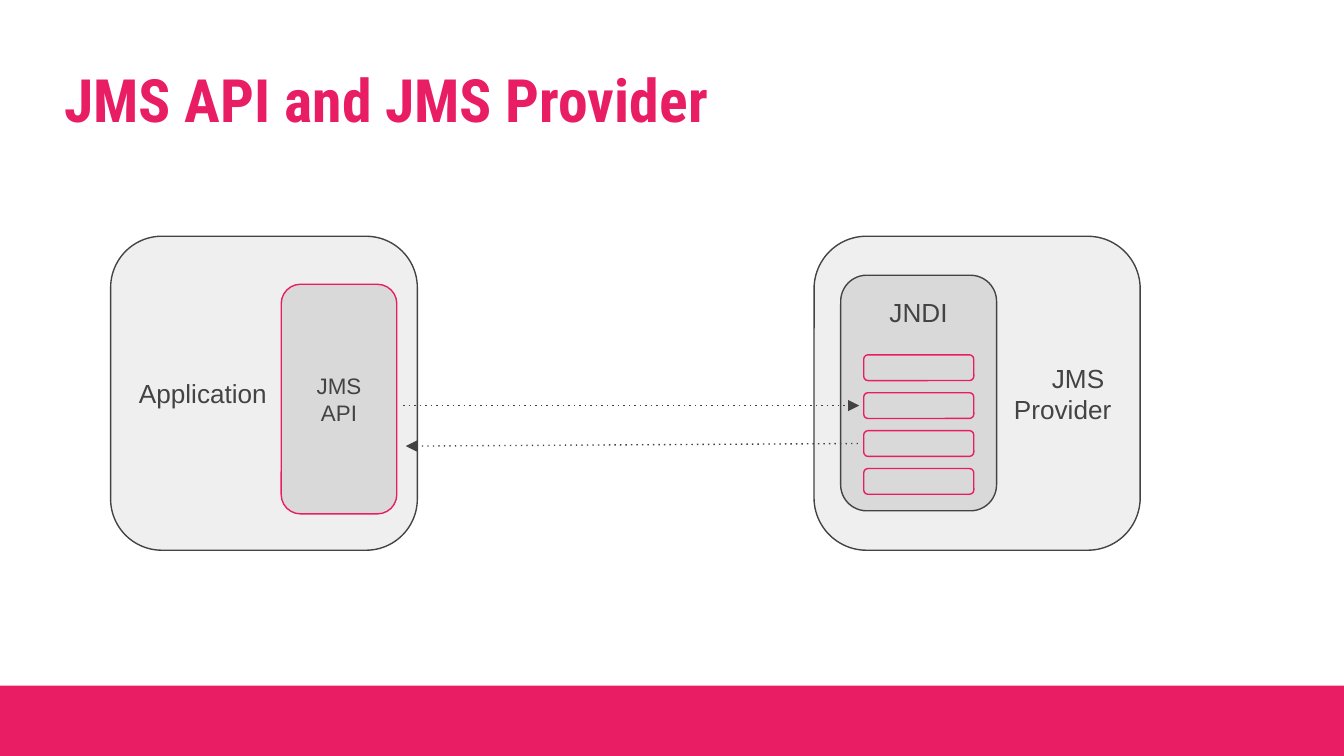
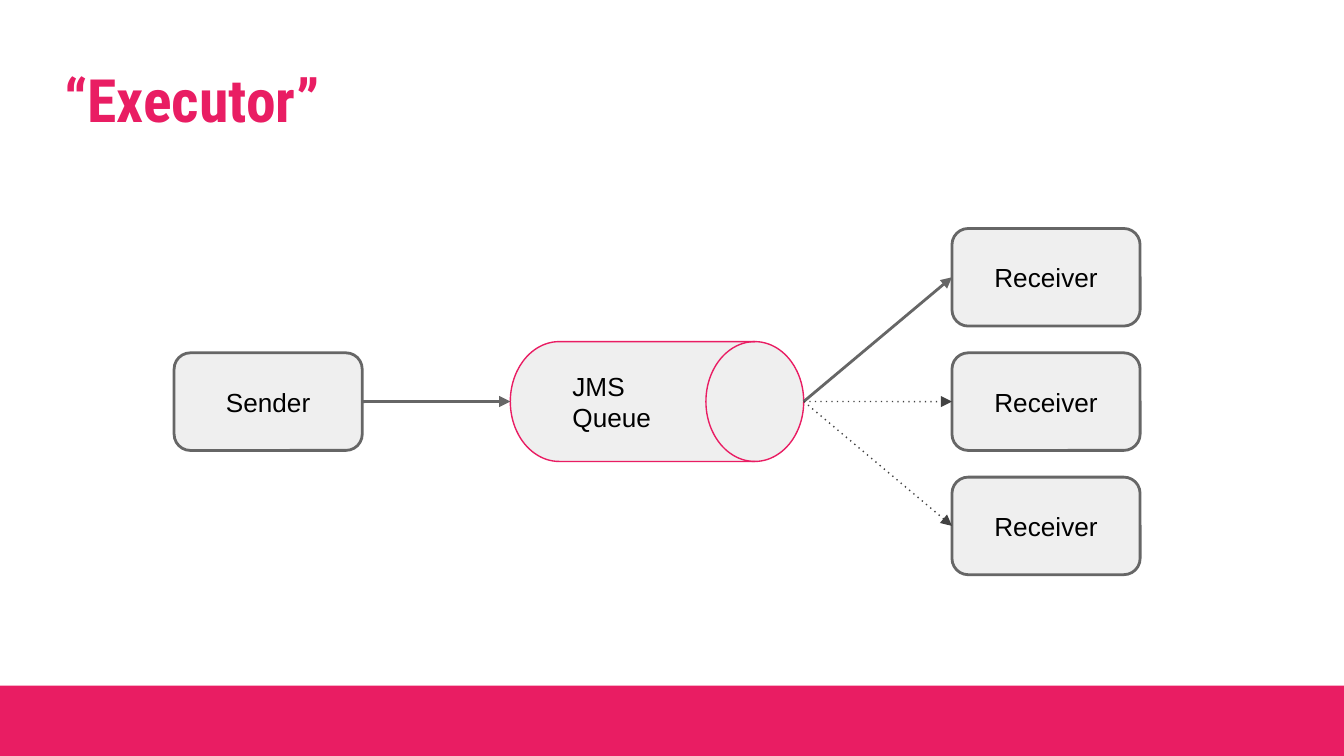
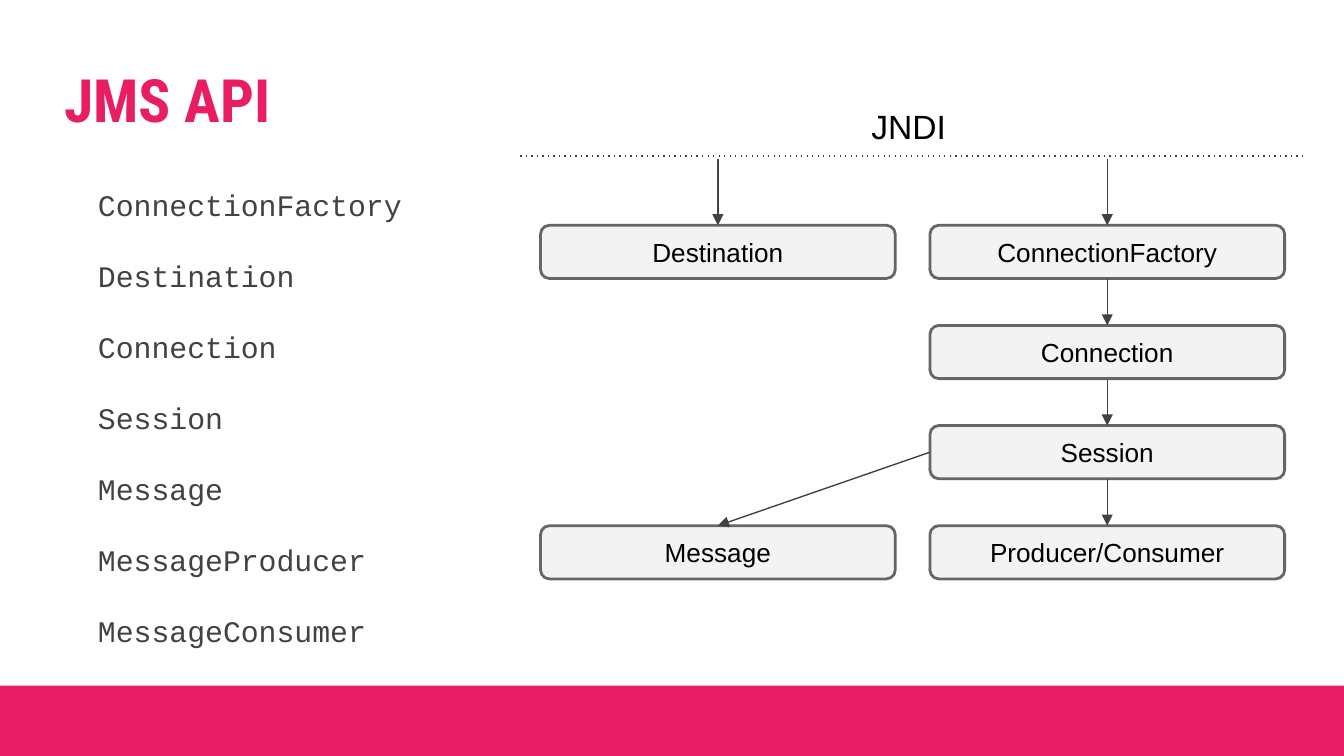
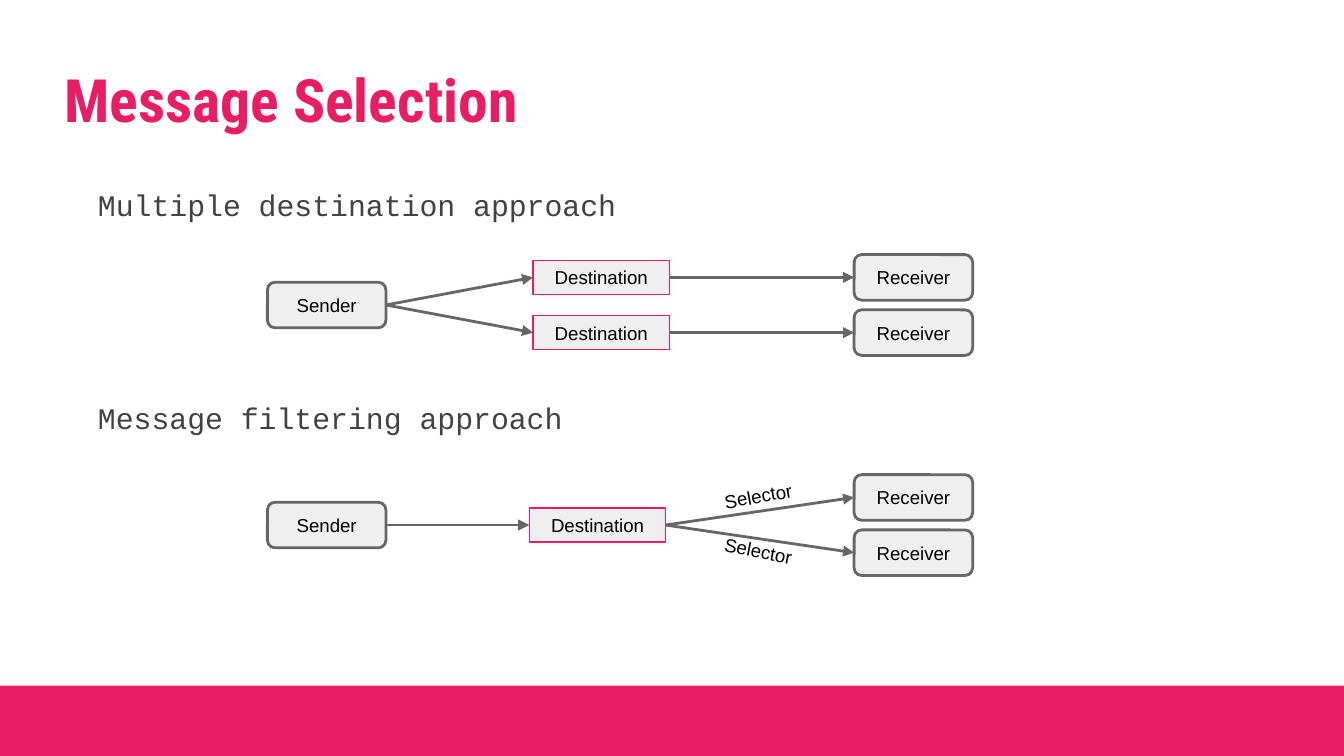
from dataclasses import dataclass, replace

import lxml.etree
import pptx
import pptx.dml.color
import pptx.enum.shapes
import pptx.enum.text
import pptx.oxml.ns
import pptx.shapes.autoshape
import pptx.slide
import pptx.text.text
import pptx.util

Pt = pptx.util.Pt
SHAPE = pptx.enum.shapes.MSO_SHAPE
ALIGN = pptx.enum.text.PP_ALIGN
ANCHOR = pptx.enum.text.MSO_ANCHOR

COLORS = {
    "accent": "E91D63",
    "black": "000000",
    "text": "424242",
    "outline": "434343",
    "border": "666666",
    "light": "EFEFEF",
    "pale": "F3F3F3",
    "panel": "D9D9D9",
}
WIDTH, HEIGHT = 720, 405
INSET = 7.2
CORNER = 0.167


@dataclass(frozen=True)
class Box:
    """A rectangle in points, with the middles of its sides."""
    left: float
    top: float
    width: float
    height: float

    @property
    def west(self) -> tuple[float, float]:
        return self.left, self.top + self.height / 2

    @property
    def east(self) -> tuple[float, float]:
        return self.left + self.width, self.top + self.height / 2

    @property
    def north(self) -> tuple[float, float]:
        return self.left + self.width / 2, self.top

    @property
    def south(self) -> tuple[float, float]:
        return self.left + self.width / 2, self.top + self.height


@dataclass(frozen=True)
class Style:
    """The look of a shape and its label."""
    fill: str = "light"
    line: str | None = "border"
    weight: float = 1.5
    kind: SHAPE = SHAPE.ROUNDED_RECTANGLE
    size: float = 14
    color: str = "black"
    align: ALIGN = ALIGN.CENTER
    anchor: ANCHOR = ANCHOR.MIDDLE


@dataclass(frozen=True)
class Stroke:
    """The look of a connector."""
    color: str = "text"
    weight: float = 0.75
    dotted: bool = False
    arrow: bool = True


NODE = Style()
PALE_NODE = Style(fill="pale")
SMALL_NODE = Style(size=10)
DESTINATION = Style(line="accent", weight=0.75, kind=SHAPE.RECTANGLE, size=10)
QUEUE = Style(line="accent", weight=0.75, kind=SHAPE.FLOWCHART_DIRECT_ACCESS_STORAGE,
              align=ALIGN.LEFT)
SYSTEM = Style(line="outline", weight=0.75, color="outline", align=ALIGN.LEFT)
PANEL = replace(SYSTEM, fill="panel", align=ALIGN.CENTER)
BAND = Style(fill="accent", line=None, kind=SHAPE.RECTANGLE)

THIN = Stroke()
DOTTED = Stroke(dotted=True)
THICK = Stroke(color="border", weight=1.5)
RULE = Stroke(dotted=True, arrow=False)


def rgb(name: str) -> pptx.dml.color.RGBColor:
    return pptx.dml.color.RGBColor.from_string(COLORS[name])


def write(frame: pptx.text.text.TextFrame, text: str, *, size: float, color: str = "black",
          font: str = "Arial", bold: bool = False, align: ALIGN = ALIGN.LEFT,
          anchor: ANCHOR = ANCHOR.TOP, spacing: float | None = None,
          after: float = 0, indent: tuple[float, float] | None = None) -> None:
    """Fill a frame, one paragraph for each line of text."""
    frame.word_wrap = True
    frame.vertical_anchor = anchor
    frame.margin_left = frame.margin_right = Pt(INSET)
    frame.margin_top = frame.margin_bottom = Pt(INSET)
    for index, words in enumerate(text.split("\n")):
        para = frame.add_paragraph() if index else frame.paragraphs[0]
        para.alignment = align
        para.space_after = Pt(after)
        if spacing:
            para.line_spacing = spacing
        if indent:
            properties = para._p.get_or_add_pPr()
            properties.set("marL", str(Pt(indent[0])))
            properties.set("indent", str(Pt(indent[1])))
        span = para.add_run()
        span.text = words
        span.font.name = font
        span.font.size = Pt(size)
        span.font.bold = bold
        span.font.color.rgb = rgb(color)


def add_text(page: pptx.slide.Slide, box: Box, text: str, *,
             rotation: float = 0, **text_format) -> None:
    label = page.shapes.add_textbox(Pt(box.left), Pt(box.top), Pt(box.width), Pt(box.height))
    label.rotation = rotation
    write(label.text_frame, text, **text_format)


def add_box(page: pptx.slide.Slide, box: Box, style: Style, text: str = "") -> Box:
    shape = page.shapes.add_shape(
        style.kind, Pt(box.left), Pt(box.top), Pt(box.width), Pt(box.height))
    shape.shadow.inherit = False
    shape.fill.solid()
    shape.fill.fore_color.rgb = rgb(style.fill)
    if style.kind == SHAPE.ROUNDED_RECTANGLE:
        shape.adjustments[0] = CORNER
    if style.line:
        shape.line.color.rgb = rgb(style.line)
        shape.line.width = Pt(style.weight)
    else:
        shape.line.fill.background()
    if text:
        write(shape.text_frame, text, size=style.size, color=style.color,
              align=style.align, anchor=style.anchor)
    return box


def add_line(page: pptx.slide.Slide, start: tuple[float, float], end: tuple[float, float],
             stroke: Stroke) -> None:
    line = page.shapes.add_connector(
        pptx.enum.shapes.MSO_CONNECTOR.STRAIGHT, *map(Pt, start + end))
    line.line.color.rgb = rgb(stroke.color)
    line.line.width = Pt(stroke.weight)
    qn = pptx.oxml.ns.qn
    properties = line._element.spPr
    outline = properties.find(qn("a:ln"))
    if stroke.dotted:
        lxml.etree.SubElement(outline, qn("a:prstDash"), val="dot")
    if stroke.arrow:
        lxml.etree.SubElement(outline, qn("a:tailEnd"), type="triangle")
    lxml.etree.SubElement(properties, qn("a:effectLst"))


def add_page(deck: pptx.presentation.Presentation, title: str) -> pptx.slide.Slide:
    """Start a page with the bottom band and the title."""
    page = deck.slides.add_slide(deck.slide_layouts[6])
    add_box(page, Box(0, 367.3, WIDTH, HEIGHT - 367.3), BAND)
    add_text(page, Box(27.4, 26.7, 583.2, 52.6), title, size=32, color="accent",
             font="Roboto Condensed", bold=True, anchor=ANCHOR.BOTTOM)
    return page


def add_body(page: pptx.slide.Slide, text: str, after: float = 16) -> None:
    add_text(page, Box(27.4, 90, 583.2, 249.8), text, size=16, color="text",
             font="Courier New", spacing=1.15, after=after, indent=(36, -18))


def build_provider(deck: pptx.presentation.Presentation) -> None:
    page = add_page(deck, "JMS API and JMS Provider")
    add_box(page, Box(59.3, 126.6, 164.3, 168.2), SYSTEM, "Application")
    add_box(page, Box(436.1, 126.6, 174.7, 168.2), replace(SYSTEM, align=ALIGN.RIGHT),
            "JMS \nProvider")
    add_box(page, Box(150.7, 152.3, 61.9, 123), replace(PANEL, line="accent", size=12),
            "JMS API")
    add_box(page, Box(450.4, 147.5, 83.5, 126.2), replace(PANEL, anchor=ANCHOR.TOP), "JNDI")
    # Entries of the directory
    for row in range(4):
        add_box(page, Box(462.7, 190.1 + row * 20.3, 59, 13.8), replace(PANEL, line="accent"))
    # Lookup and answer
    add_line(page, (216, 217.3), (460.3, 217.3), DOTTED)
    add_line(page, (459.6, 237.6), (217.4, 239), DOTTED)


def build_executor(deck: pptx.presentation.Presentation) -> None:
    page = add_page(deck, "“Executor”")
    sender = add_box(page, Box(93.3, 189, 100.8, 52.3), NODE, "Sender")
    queue = add_box(page, Box(273.4, 183, 157.2, 64.2), QUEUE, "JMS Queue")
    add_line(page, sender.east, queue.west, THICK)
    for row, stroke in enumerate((THICK, DOTTED, DOTTED)):
        receiver = add_box(page, Box(510, 122.4 + row * 66.6, 100.8, 52.3), NODE, "Receiver")
        add_line(page, queue.east, receiver.west, stroke)


def build_api(deck: pptx.presentation.Presentation) -> None:
    page = add_page(deck, "JMS API")
    add_body(page, "ConnectionFactory\nDestination\nConnection\nSession\n"
                   "Message\nMessageProducer\nMessageConsumer")
    # Directory line
    rule_y = 83.6
    add_line(page, (278.8, rule_y), (697.8, rule_y), RULE)
    add_text(page, Box(427, 49.7, 119.5, 45.4), "JNDI", size=18, align=ALIGN.CENTER)

    # Objects on a grid of two columns and four rows
    def add_object(column: int, row: int, text: str) -> Box:
        box = Box(289.6 + column * 208.6, 120.7 + row * 53.65, 190, 28.5)
        return add_box(page, box, PALE_NODE, text)

    chain = [add_object(1, row, text) for row, text in enumerate(
        ("ConnectionFactory", "Connection", "Session", "Producer/Consumer"))]
    destination = add_object(0, 0, "Destination")
    message = add_object(0, 3, "Message")
    for upper, lower in zip(chain, chain[1:]):
        add_line(page, upper.south, lower.north, THIN)
    add_line(page, chain[2].west, message.north, THIN)
    for target in (destination, chain[0]):
        add_line(page, (target.north[0], rule_y + 1.5), target.north, THIN)


def build_selection(deck: pptx.presentation.Presentation) -> None:
    page = add_page(deck, "Message Selection")
    add_body(page, "Multiple destination approach\nMessage filtering approach", after=92)

    def add_node(left: float, middle: float, text: str) -> Box:
        return add_box(page, Box(left, middle - 12.2, 63.5, 24.4), SMALL_NODE, text)

    def add_destination(left: float, middle: float) -> Box:
        return add_box(page, Box(left, middle - 9.1, 73, 18.2), DESTINATION, "Destination")

    sender_x, receiver_x = 143.3, 457.6
    half_gap = 14.8
    # One destination for each receiver
    middle = 163.4
    sender = add_node(sender_x, middle, "Sender")
    for y in (middle - half_gap, middle + half_gap):
        destination = add_destination(285.6, y)
        receiver = add_node(receiver_x, y, "Receiver")
        add_line(page, sender.east, destination.west, THICK)
        add_line(page, destination.east, receiver.west, THICK)

    # One destination, filtered by selectors
    middle = 281.3
    sender = add_node(sender_x, middle, "Sender")
    destination = add_destination(283.6, middle)
    add_line(page, sender.east, destination.west, THICK)
    for y, label_top, rotation in ((middle - half_gap, 253.4, 349.8),
                                   (middle + half_gap, 283, 10.9)):
        receiver = add_node(receiver_x, y, "Receiver")
        add_line(page, destination.east, receiver.west, THICK)
        add_text(page, Box(380.9, label_top, 52, 24.5), "Selector", size=10, rotation=rotation)


def main() -> None:
    deck = pptx.Presentation()
    deck.slide_width, deck.slide_height = Pt(WIDTH), Pt(HEIGHT)
    for build in (build_provider, build_executor, build_api, build_selection):
        build(deck)
    deck.save("out.pptx")


if __name__ == "__main__":
    main()
